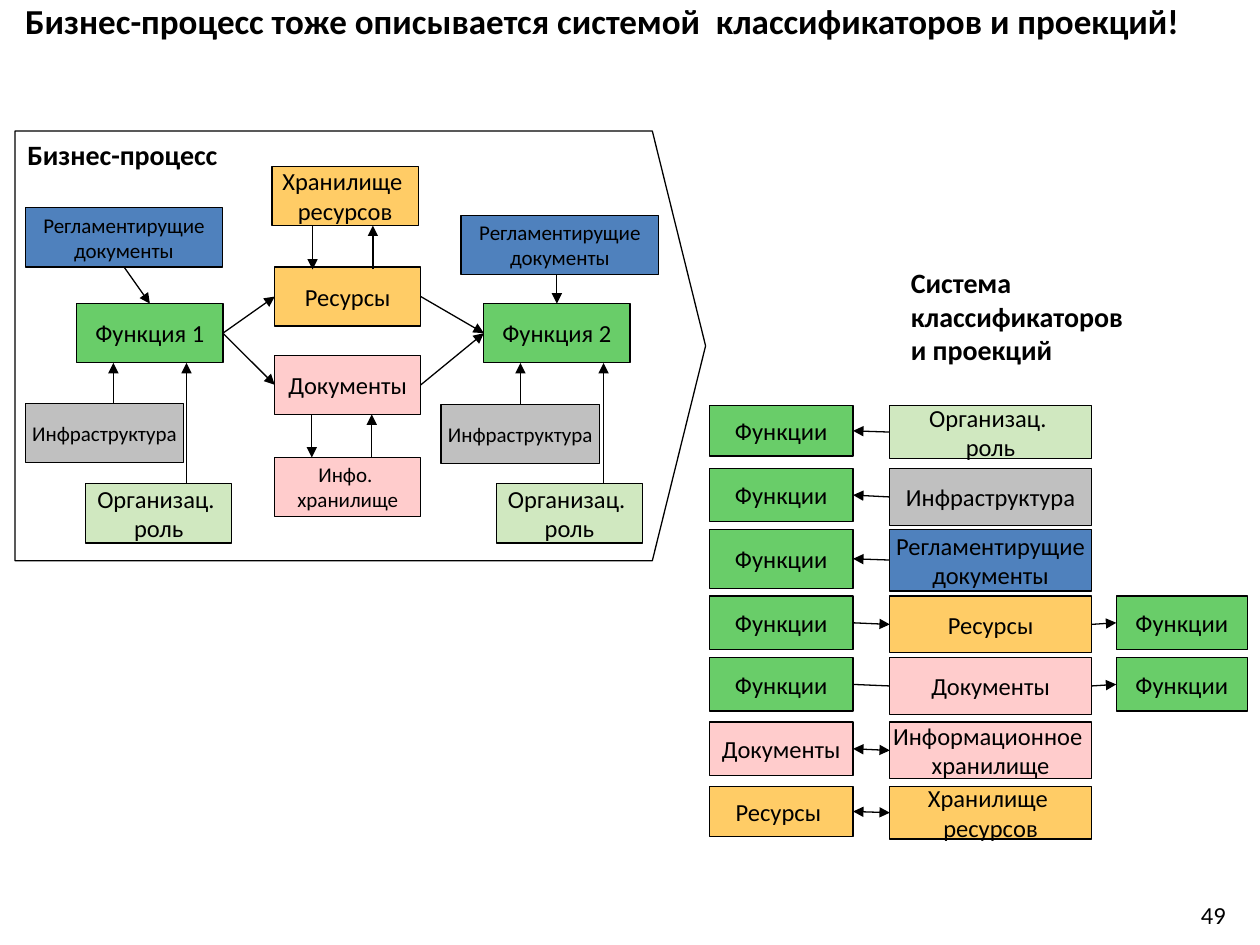
"""Build a slide that describes a business process through classifiers and projections."""
from lxml import etree
from pptx import Presentation
from pptx.dml.color import RGBColor
from pptx.enum.shapes import MSO_CONNECTOR, MSO_SHAPE
from pptx.enum.text import MSO_ANCHOR, PP_ALIGN
from pptx.oxml.ns import qn
from pptx.util import Pt

RECTANGLE, PENTAGON = MSO_SHAPE.RECTANGLE, MSO_SHAPE.PENTAGON
STRAIGHT = MSO_CONNECTOR.STRAIGHT
TOP_ANCHOR, MIDDLE_ANCHOR = MSO_ANCHOR.TOP, MSO_ANCHOR.MIDDLE
LEFT_ALIGN, CENTER_ALIGN = PP_ALIGN.LEFT, PP_ALIGN.CENTER
TOP, LEFT, BOTTOM, RIGHT = range(4)

BLACK = RGBColor(0x00, 0x00, 0x00)
GREEN = RGBColor(0x69, 0xCD, 0x69)
BLUE = RGBColor(0x4F, 0x81, 0xBD)
ORANGE = RGBColor(0xFF, 0xCC, 0x66)
PINK = RGBColor(0xFF, 0xCC, 0xCC)
GRAY = RGBColor(0xC0, 0xC0, 0xC0)
PALE_GREEN = RGBColor(0xD0, 0xE8, 0xC0)

FONT = "Calibri"
LINE_WIDTH = Pt(0.75)
BOX_HEIGHT = 33.8
BOX_WIDTH, RULES_WIDTH, INFRASTRUCTURE_WIDTH = 83.5, 113, 90.7
FIRST_LEFT, SECOND_LEFT, THIRD_LEFT = 405.4, 508.5, 637.9
FIRST_WIDTH, SECOND_WIDTH, THIRD_WIDTH = 82.1, 115.2, 74.9

RULES = "Регламентирущие\nдокументы"
ROLE = "Организац. \nроль"
RESOURCE_STORE = "Хранилище \nресурсов"
INFRASTRUCTURE = "Инфраструктура"
FUNCTIONS, DOCUMENTS, RESOURCES = "Функции", "Документы", "Ресурсы"

PROCESS_BOXES = {
    "function 1": ("Функция 1", GREEN, 43.9, 173.5, BOX_WIDTH, 14),
    "function 2": ("Функция 2", GREEN, 276.5, 173.5, BOX_WIDTH, 14),
    "rules 1": (RULES, BLUE, 14.4, 118.8, RULES_WIDTH, 12),
    "rules 2": (RULES, BLUE, 263.5, 123.1, RULES_WIDTH, 12),
    "infrastructure 1": (INFRASTRUCTURE, GRAY, 14.4, 230.4, INFRASTRUCTURE_WIDTH, 12),
    "infrastructure 2": (INFRASTRUCTURE, GRAY, 252, 231.1, INFRASTRUCTURE_WIDTH, 12),
    "role 1": (ROLE, PALE_GREEN, 49, 276.5, BOX_WIDTH, 14),
    "role 2": (ROLE, PALE_GREEN, 283.7, 276.5, BOX_WIDTH, 14),
    "resource store": (RESOURCE_STORE, ORANGE, 155.5, 95, BOX_WIDTH, 14),
    "resources": (RESOURCES, ORANGE, 157, 152.6, BOX_WIDTH, 14),
    "documents": (DOCUMENTS, PINK, 157, 203, BOX_WIDTH, 14),
    "document store": ("Инфо. \nхранилище", PINK, 157, 261.4, BOX_WIDTH, 12),
}
PROCESS_LINKS = [
    ("rules 1", BOTTOM, "function 1", TOP),
    ("function 1", RIGHT, "resources", LEFT),
    ("function 1", RIGHT, "documents", LEFT),
    ("resources", RIGHT, "function 2", LEFT),
    ("documents", RIGHT, "function 2", LEFT),
]
VERTICAL_ARROWS = [
    (64.8, 230.4, 207.4), (106.6, 276.5, 207.4),
    (297.4, 231.1, 207.4), (344.9, 276.5, 207.4), (318.2, 157, 173.5),
    (178.2, 236.8, 261.4), (212.4, 261.4, 236.8),
    (178.6, 128.9, 154), (213.1, 154, 128.9),
]
CLASSIFIER_ROWS = [
    (231.8, (FUNCTIONS, GREEN, 28.8), (ROLE, PALE_GREEN, 30.2), ("head",), False),
    (267.8, (FUNCTIONS, GREEN, 30.2), (INFRASTRUCTURE, GRAY, 32.4), ("head",), False),
    (302.4, (FUNCTIONS, GREEN, 33.8), (RULES, BLUE, 35.3), ("head",), False),
    (340.6, (FUNCTIONS, GREEN, 30.6), (RESOURCES, ORANGE, 32.4), ("tail",), True),
    (375.8, (FUNCTIONS, GREEN, 30.6), (DOCUMENTS, PINK, 32.4), (), True),
    (412.6, (DOCUMENTS, PINK, 30.6), ("Информационное \nхранилище", PINK, 32.4),
     ("head", "tail"), False),
    (449.3, ("Ресурсы ", ORANGE, 28.8), (RESOURCE_STORE, ORANGE, 30.2),
     ("head", "tail"), False),
]


def write_text(shape, text, size, bold=False, align=LEFT_ALIGN,
               anchor=TOP_ANCHOR, wrap=True, margin=None):
    """Fill a shape with formatted paragraphs, one per line of text."""
    frame = shape.text_frame
    frame.text = text
    frame_format = {"word_wrap": wrap, "vertical_anchor": anchor}
    if margin is not None:
        for side in ("left", "top", "right", "bottom"):
            frame_format[f"margin_{side}"] = Pt(margin)
    for name, value in frame_format.items():
        setattr(frame, name, value)
    for paragraph in frame.paragraphs:
        paragraph.alignment = align
        for name, value in {"name": FONT, "size": Pt(size), "bold": bold}.items():
            setattr(paragraph.font, name, value)
        paragraph.font.color.rgb = BLACK


def add_outlined(slide, kind, left, top, width, height, color=None):
    """Add a black-outlined shape, unfilled when no color is given."""
    shape = slide.shapes.add_shape(kind, Pt(left), Pt(top), Pt(width), Pt(height))
    shape.shadow.inherit = False
    if color is None:
        shape.fill.background()
    else:
        shape.fill.solid()
        shape.fill.fore_color.rgb = color
    shape.line.color.rgb = BLACK
    shape.line.width = LINE_WIDTH
    return shape


def add_box(slide, text, color, left, top, width, size=14, height=BOX_HEIGHT):
    """Add a filled rectangle with centered text."""
    shape = add_outlined(slide, RECTANGLE, left, top, width, height, color)
    write_text(shape, text, size, align=CENTER_ALIGN, anchor=MIDDLE_ANCHOR, wrap=False)
    return shape


def add_label(slide, text, left, top, width, height, size, **text_format):
    """Add a free-standing text box."""
    box = slide.shapes.add_textbox(Pt(left), Pt(top), Pt(width), Pt(height))
    write_text(box, text, size, **text_format)


def add_arrow(slide, start_x, start_y, end_x, end_y, ends=("tail",)):
    """Add a straight black connector with triangles at the named ends."""
    connector = slide.shapes.add_connector(
        STRAIGHT, Pt(start_x), Pt(start_y), Pt(end_x), Pt(end_y))
    connector.line.color.rgb = BLACK
    connector.line.width = LINE_WIDTH
    for end in ends:
        etree.SubElement(connector.line._get_or_add_ln(), qn(f"a:{end}End"), type="triangle")
    etree.SubElement(connector._element.spPr, qn("a:effectLst"))
    return connector


def link(slide, start, start_site, end, end_site, ends=("tail",)):
    """Connect two shapes at the given connection sites."""
    connector = add_arrow(slide, 0, 0, 0, 0, ends)
    connector.begin_connect(start, start_site)
    connector.end_connect(end, end_site)


def add_process(slide):
    """Draw the business process with its boxes and arrows."""
    outline = add_outlined(slide, PENTAGON, 8.6, 74.9, 394.6, 245.5)
    outline.adjustments[0] = 0.124
    write_text(outline, "Бизнес-процесс", 16, bold=True)
    boxes = {name: add_box(slide, *values) for name, values in PROCESS_BOXES.items()}
    for start, start_site, end, end_site in PROCESS_LINKS:
        link(slide, boxes[start], start_site, boxes[end], end_site)
    for x, start_y, end_y in VERTICAL_ARROWS:
        add_arrow(slide, x, start_y, x, end_y)


def add_classifier_row(slide, top, first, second, ends, has_third):
    """Draw one row of linked classifiers."""
    text, color, height = first
    first_box = add_box(slide, text, color, FIRST_LEFT, top, FIRST_WIDTH, height=height)
    text, color, second_height = second
    second_box = add_box(slide, text, color, SECOND_LEFT, top, SECOND_WIDTH,
                         height=second_height)
    link(slide, first_box, RIGHT, second_box, LEFT, ends)
    if has_third:
        third_box = add_box(slide, FUNCTIONS, GREEN, THIRD_LEFT, top, THIRD_WIDTH,
                            height=height)
        link(slide, second_box, RIGHT, third_box, LEFT)


def main():
    """Create the presentation and save it."""
    presentation = Presentation()
    presentation.slide_width, presentation.slide_height = Pt(720), Pt(540)
    slide = presentation.slides.add_slide(presentation.slide_layouts[6])
    add_label(slide, "Бизнес-процесс тоже описывается системой  классификаторов и проекций!",
              14.4, 0, 672, 60.5, 20, bold=True, margin=0)
    add_process(slide)
    add_label(slide, "Система классификаторов\nи проекций", 513.4, 148.3, 167, 64.8, 16,
              bold=True, anchor=MIDDLE_ANCHOR)
    for row in CLASSIFIER_ROWS:
        add_classifier_row(slide, *row)
    add_label(slide, "49", 686.2, 514.1, 18, 15.8, 14, margin=0)
    presentation.save("out.pptx")


if __name__ == "__main__":
    main()
